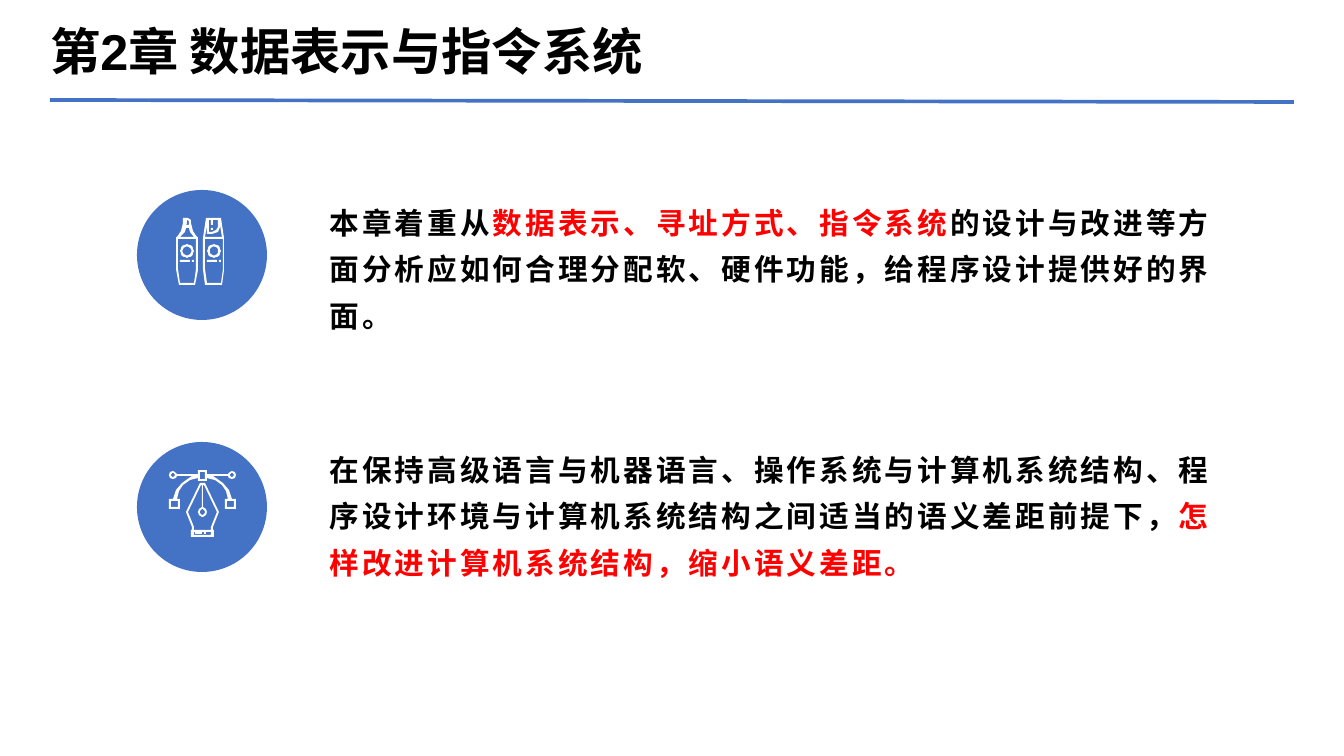
import dataclasses
import math

import pptx
import pptx.dml.color
import pptx.enum.shapes
import pptx.enum.text
import pptx.oxml
import pptx.oxml.ns
import pptx.util

SCALE = 8572.5  # EMU in one px
FONT = "Arial"
COLORS = {"blue": "4472C4", "red": "FF0000", "black": "000000", "white": "FFFFFF"}
DISC = 130

Point = tuple[float, float]
Path = list[Point]


@dataclasses.dataclass
class Icon:
    left: int
    top: int
    paths: list[Path]


@dataclasses.dataclass
class Topic:
    disc_top: int
    text_top: int
    height: int
    runs: list[tuple[str, str]]
    icon: Icon


def px(size: float) -> pptx.util.Emu:
    return pptx.util.Emu(round(size * SCALE))


def color(name: str) -> pptx.dml.color.RGBColor:
    return pptx.dml.color.RGBColor.from_string(COLORS[name])


# Outline helpers
def box(x: int, y: int, w: int, h: int) -> Path:
    return [(x, y), (x + w, y), (x + w, y + h), (x, y + h)]


def circle(x: float, y: float, r: float, steps: int = 24) -> Path:
    turns = [math.tau * i / steps for i in range(steps)]
    return [(x + r * math.cos(a), y + r * math.sin(a)) for a in turns]


def shift(path: Path, dx: int) -> Path:
    return [(x + dx, y) for x, y in path]


def flip(path: Path, width: int) -> Path:
    return [(width - x, y) for x, y in reversed(path)]


# Two marker pens: the lower body is the same for both
def markers() -> Icon:
    body = [
        [(2, 21), (2, 51), (4, 65), (18, 65), (20, 51), (20, 21)],
        circle(11, 33, 6.7), circle(11, 33, 4.5),
        box(4, 42, 10, 2), box(16, 42, 2, 2),
    ]
    left = [
        [(7, 0), (12, 0), (15, 2), (15, 5), (17, 13), (21, 19), (22, 19),
         (22, 52), (19, 67), (3, 67), (0, 51), (0, 19), (1, 19), (5, 13), (7, 5)],
        [(10, 10), (9, 14), (4, 19), (18, 19), (14, 14), (13, 10)],
        [(11, 2), (11, 5), (10, 7), (13, 7), (13, 3)],
    ]
    right = [
        [(30, 0), (45, 0), (48, 20), (48, 52), (46, 67), (29, 67), (27, 51), (27, 20)],
        [(31, 7), (29, 19), (46, 19), (44, 7), (44, 9), (42, 14), (36, 16), (31, 16)],
        [(33, 2), (33, 14), (36, 14), (40, 12), (42, 9), (42, 2),
         (37, 2), (37, 7), (35, 7), (35, 2)],
        box(35, 10, 2, 2),
    ]
    return Icon(176, 218, left + right + body + [shift(path, 27) for path in body])


# Pen nib under a curve with handles: each half mirrors the other
def nib() -> Icon:
    width = 67
    halves = [
        [(29, 0), (29, 4), (8, 4), (6, 2), (4, 1), (1, 2), (0, 5), (1, 8), (4, 9),
         (7, 8), (8, 6), (23, 6), (20, 8), (13, 13), (7, 20), (4, 29), (0, 29),
         (0, 39), (11, 39), (11, 29), (8, 29), (10, 21), (14, 15), (21, 10),
         (29, 8), (29, 11)],
        [(31, 13), (17, 42), (23, 57), (23, 60), (22, 60), (22, 67)],
        [(33, 47), (30, 45), (29, 42), (30, 39), (33, 37), (33, 15), (32, 15),
         (19, 42), (25, 57), (25, 60)],
        [(31, 2), (31, 9)],
        [(25, 62), (25, 65)],
    ]
    sides = [box(2, 31, 7, 6), circle(4, 5, 2)]
    paths = [half + flip(half, width) for half in halves]
    paths += sides + [flip(side, width) for side in sides]
    paths += [circle(33.5, 42, 2.7), box(26, 62, 7, 2), box(35, 62, 2, 2)]
    return Icon(169, 470, paths)


TOPICS = [
    Topic(190, 189, 253, [
        ("本章着重从", "black"),
        ("数据表示、寻址方式、指令系统", "red"),
        ("的设计与改进等方面分析应如何合理分配软、硬件功能，给程序设计提供好的界面。", "black"),
    ], markers()),
    Topic(442, 436, 259, [
        ("在保持高级语言与机器语言、操作系统与计算机系统结构、程序设计环境与"
         "计算机系统结构之间适当的语义差距前提下，", "black"),
        ("怎样改进计算机系统结构，缩小语义差距。", "red"),
    ], nib()),
]


def style(run, size: int, tint: str) -> None:
    run.font.name = FONT
    run.font.size = pptx.util.Pt(size)
    run.font.bold = True
    run.font.color.rgb = color(tint)


def paint(shape, tint: str) -> None:
    shape.shadow.inherit = False
    shape.fill.solid()
    shape.fill.fore_color.rgb = color(tint)
    shape.line.fill.background()


def add_title(slide) -> None:
    title = slide.shapes.title
    title.left, title.top, title.width, title.height = map(px, (50, 17, 1243, 67))
    frame = title.text_frame
    frame.text = "第2章 数据表示与指令系统"
    frame.auto_size = pptx.enum.text.MSO_AUTO_SIZE.NONE
    frame.vertical_anchor = pptx.enum.text.MSO_ANCHOR.MIDDLE
    frame.margin_left = frame.margin_right = frame.margin_top = frame.margin_bottom = 0
    frame.paragraphs[0].alignment = pptx.enum.text.PP_ALIGN.LEFT
    style(frame.paragraphs[0].runs[0], 34, "black")


def add_rule(slide) -> None:
    kind = pptx.enum.shapes.MSO_CONNECTOR.STRAIGHT
    rule = slide.shapes.add_connector(kind, px(50), px(100), px(1294), px(102))
    rule.line.color.rgb = color("blue")
    rule.line.width = pptx.util.Pt(2.5)
    props = rule._element.spPr
    props.append(pptx.oxml.parse_xml(f"<a:effectLst {pptx.oxml.ns.nsdecls('a')}/>"))


def add_icon(slide, icon: Icon) -> None:
    first, *rest = icon.paths
    pen = slide.shapes.build_freeform(*first[0], scale=SCALE)
    pen.add_line_segments(first[1:], close=True)
    for path in rest:
        pen.move_to(*path[0])
        pen.add_line_segments(path[1:], close=True)
    paint(pen.convert_to_shape(px(icon.left), px(icon.top)), "white")


def add_topic(slide, topic: Topic) -> None:
    oval = pptx.enum.shapes.MSO_SHAPE.OVAL
    disc = slide.shapes.add_shape(oval, px(137), px(topic.disc_top), px(DISC), px(DISC))
    paint(disc, "blue")
    add_icon(slide, topic.icon)
    area = slide.shapes.add_textbox(px(319), px(topic.text_top), px(929), px(topic.height))
    area.text_frame.word_wrap = True
    para = area.text_frame.paragraphs[0]
    para.line_spacing = 1.3
    for text, tint in topic.runs:
        run = para.add_run()
        run.text = text
        style(run, 20, tint)
        run._r.get_or_add_rPr().set("spc", "200")  # letter spacing of 2 pt


def main() -> None:
    deck = pptx.Presentation()
    deck.slide_width, deck.slide_height = px(1344), px(756)
    slide = deck.slides.add_slide(deck.slide_layouts.get_by_name("Title Only"))
    add_title(slide)
    add_rule(slide)
    for topic in TOPICS:
        add_topic(slide, topic)
    deck.save("out.pptx")


if __name__ == "__main__":
    main()
